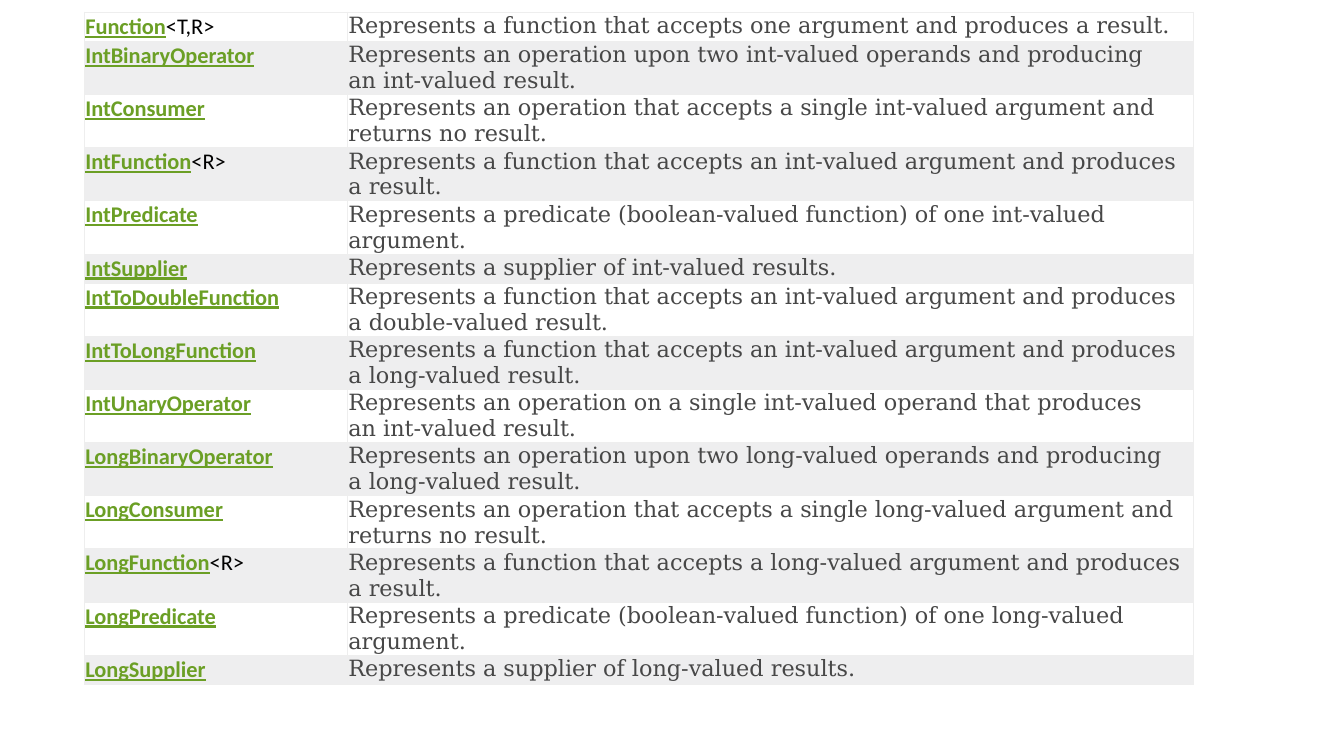
from dataclasses import dataclass

from lxml.etree import SubElement
from pptx import Presentation
from pptx.dml.color import RGBColor as Rgb
from pptx.oxml.ns import qn
from pptx.util import Cm, Pt


@dataclass(frozen=True)
class Theme:
    link: str = "6B9F25"
    parameter: str = "000000"
    description: str = "474747"
    border: str = "EEEEEE"
    bands: tuple = ("FFFFFF", "EEEEEF")
    name_font: str = "Calibri"
    description_font: str = "DejaVu Serif"
    text_size: float = 16
    border_width: float = 0.6


# Interface, type parameters, description; "~" stands for a no-break space.
INTERFACES = [
    ("Function", "<T,R>", "Represents a function that accepts one argument and produces a result."),
    ("IntBinaryOperator", "",
     "Represents an operation upon two~int-valued operands and producing an~int-valued result."),
    ("IntConsumer", "",
     "Represents an operation that accepts a single~int-valued argument and returns no result."),
    ("IntFunction", "<R>",
     "Represents a function that accepts an int-valued argument and produces a result."),
    ("IntPredicate", "",
     "Represents a predicate (boolean-valued function) of one~int-valued argument."),
    ("IntSupplier", "", "Represents a supplier of~int-valued results."),
    ("IntToDoubleFunction", "",
     "Represents a function that accepts an int-valued argument and produces "
     "a double-valued result."),
    ("IntToLongFunction", "",
     "Represents a function that accepts an int-valued argument and produces "
     "a long-valued result."),
    ("IntUnaryOperator", "",
     "Represents an operation on a single~int-valued operand that produces "
     "an~int-valued result."),
    ("LongBinaryOperator", "",
     "Represents an operation upon two~long-valued operands and producing a~long-valued result."),
    ("LongConsumer", "",
     "Represents an operation that accepts a single~long-valued argument and returns no result."),
    ("LongFunction", "<R>",
     "Represents a function that accepts a long-valued argument and produces a result."),
    ("LongPredicate", "",
     "Represents a predicate (boolean-valued function) of one~long-valued argument."),
    ("LongSupplier", "", "Represents a supplier of~long-valued results."),
]
COLUMN_WIDTHS = (6.63, 21.31)
ONE_LINE, TWO_LINES = 0.73, 1.34
LINE_LENGTH = 72


def add_text(para, text, *, font, color, size, bold=False, underline=False):
    span = para.add_run()
    span.text = text.replace("~", chr(160))
    span.font.name = font
    span.font.size = Pt(size)
    span.font.bold = bold
    span.font.underline = underline
    span.font.color.rgb = Rgb.from_string(color)


class SlideBuilder:
    def __init__(self, slide, theme):
        self.slide = slide
        self.theme = theme

    def style_cell(self, cell, fill):
        cell.margin_left = cell.margin_top = Cm(0.02)
        cell.margin_right = cell.margin_bottom = 0
        properties = cell._tc.get_or_add_tcPr()
        for side in ("a:lnL", "a:lnR", "a:lnT", "a:lnB"):
            line = SubElement(properties, qn(side), w=str(Pt(self.theme.border_width)))
            paint = SubElement(line, qn("a:solidFill"))
            SubElement(paint, qn("a:srgbClr"), val=self.theme.border)
        cell.fill.solid()
        cell.fill.fore_color.rgb = Rgb.from_string(fill)

    def interface_table(self, left, top, interfaces):
        theme = self.theme
        heights = [TWO_LINES if len(item[2]) > LINE_LENGTH else ONE_LINE for item in interfaces]
        table = self.slide.shapes.add_table(
            len(interfaces), len(COLUMN_WIDTHS), Cm(left), Cm(top),
            Cm(sum(COLUMN_WIDTHS)), Cm(sum(heights))).table
        table.first_row = table.horz_banding = False
        for column, width in zip(table.columns, COLUMN_WIDTHS):
            column.width = Cm(width)
        for index, (name, parameters, description) in enumerate(interfaces):
            row = table.rows[index]
            row.height = Cm(heights[index])
            for cell in row.cells:
                self.style_cell(cell, theme.bands[index % 2])
            name_para, description_para = (cell.text_frame.paragraphs[0] for cell in row.cells)
            add_text(name_para, name, font=theme.name_font, color=theme.link,
                     size=theme.text_size, bold=True, underline=True)
            if parameters:
                add_text(name_para, parameters, font=theme.name_font,
                         color=theme.parameter, size=theme.text_size)
            add_text(description_para, description, font=theme.description_font,
                     color=theme.description, size=theme.text_size)


def main():
    deck = Presentation()
    deck.slide_width, deck.slide_height = Cm(33.87), Cm(19.05)
    page = deck.slides.add_slide(deck.slide_layouts[6])
    SlideBuilder(page, Theme()).interface_table(2.13, 0.31, INTERFACES)
    deck.save("out.pptx")


if __name__ == "__main__":
    main()
